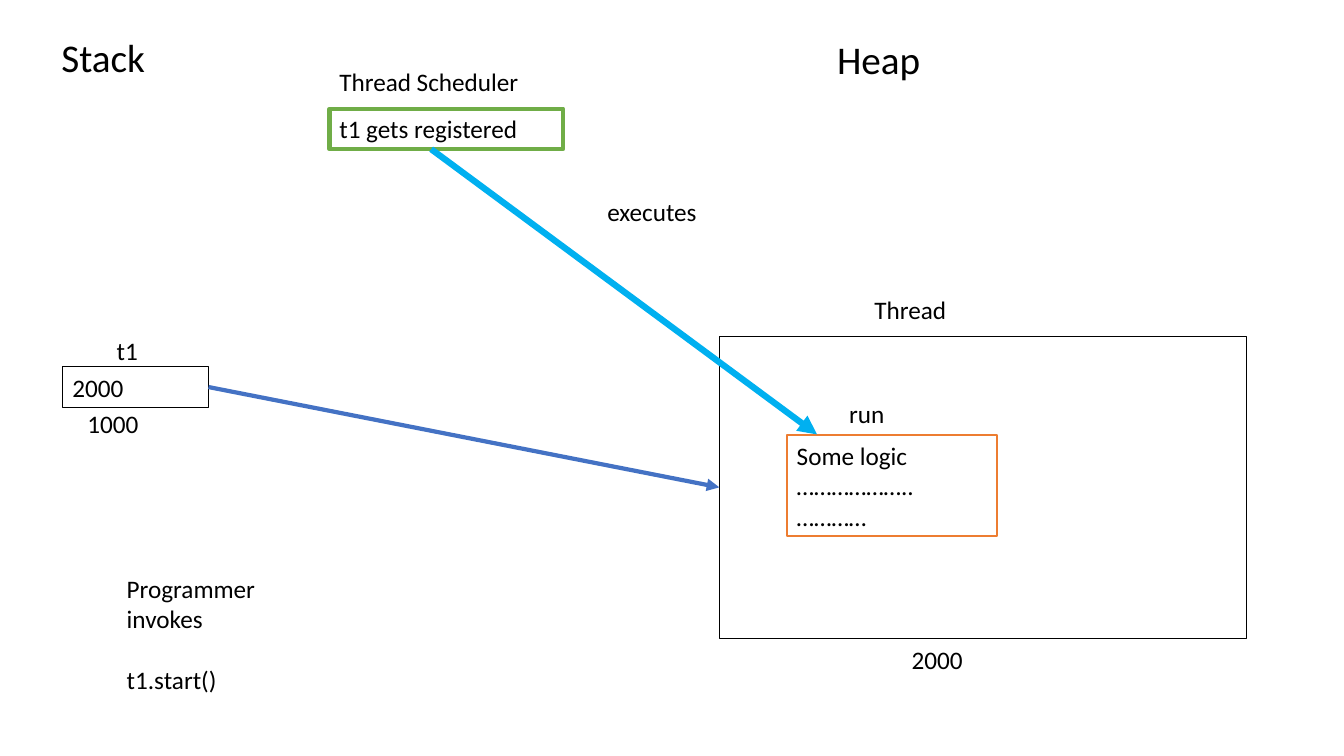
from pptx import Presentation
from pptx.dml.color import RGBColor
from pptx.enum.shapes import MSO_CONNECTOR as Connector, MSO_SHAPE as Shape
from pptx.enum.text import MSO_ANCHOR as Anchor, PP_ALIGN as Align
from pptx.oxml.ns import qn
from pptx.util import Pt
from lxml.etree import SubElement

PX = 9144
ROW = 40
COLORS = {
    "ink": "000000",
    "reference": "4472C4",
    "execution": "00B0F0",
    "scheduler": "70AD47",
    "method": "ED7D31",
}


def px(*lengths):
    return [length * PX for length in lengths]


def color(name):
    return RGBColor.from_string(COLORS[name])


def write(box, text, size=18, gap=0):
    frame = box.text_frame
    frame.word_wrap = True
    frame.vertical_anchor = Anchor.TOP
    for index, line in enumerate(text.split("\n")):
        para = frame.paragraphs[0] if index == 0 else frame.add_paragraph()
        para.alignment = Align.LEFT
        if index:
            para.space_before = Pt(gap)
        span = para.add_run()
        span.text = line
        span.font.name = "Calibri"
        span.font.size = Pt(size)
        span.font.color.rgb = color("ink")


def label(page, text, left, top, width, height=ROW, **style):
    box = page.shapes.add_textbox(*px(left, top, width, height))
    write(box, text, **style)


def outline(page, left, top, width, height=ROW, text="", line="ink", weight=0.75):
    box = page.shapes.add_shape(Shape.RECTANGLE, *px(left, top, width, height))
    box.shadow.inherit = False
    box.fill.background()
    box.line.color.rgb = color(line)
    box.line.width = Pt(weight)
    if text:
        write(box, text)
    return box


def arrow(page, start, end, line, weight):
    link = page.shapes.add_connector(Connector.STRAIGHT, *px(*start, *end))
    link.line.color.rgb = color(line)
    link.line.width = Pt(weight)
    SubElement(link.line._get_or_add_ln(), qn("a:tailEnd"), type="triangle")
    SubElement(link._element.spPr, qn("a:effectLst"))
    return link


def heap_region(page, left, top):
    label(page, "Heap", left + 107, top, 133, 57, size=28)
    thread = outline(page, left, top + 304, 523, 299)
    label(page, "Thread", left + 144, top + 257, 185)
    label(page, "2000", left + 181, top + 604, 160)
    outline(page, left + 67, top + 402, 209, 100,
            text="Some logic\n………………..\n…………", line="method", weight=1.5)
    label(page, "run", left + 119, top + 360, 104)
    return thread


def stack_region(page, left, top):
    label(page, "Stack", left, top, 112, 57, size=28)
    variable = outline(page, left + 11, top + 336, 145, text="2000")
    label(page, "t1", left + 55, top + 300, 89)
    label(page, "1000", left + 26, top + 372, 86)
    label(page, "Programmer invokes\nt1.start()", left + 65, top + 536, 170, 130, gap=22)
    return variable


def scheduler_region(page, left, top):
    outline(page, left, top + 47, 232, text="t1 gets registered",
            line="scheduler", weight=3)
    label(page, "Thread Scheduler", left, top, 210)
    arrow(page, (left + 101, top + 87), (left + 484, top + 370), "execution", 4.5)
    label(page, "executes", left + 266, top + 129, 120)


def main():
    deck = Presentation()
    deck.slide_width, deck.slide_height = px(1334, 750)
    page = deck.slides.add_slide(deck.slide_layouts[6])
    thread = heap_region(page, 714, 30)
    variable = stack_region(page, 51, 28)
    reference = arrow(page, (207, 384), (714, 493), "reference", 3)
    reference.begin_connect(variable, 3)
    reference.end_connect(thread, 1)
    scheduler_region(page, 327, 61)
    deck.save("out.pptx")


if __name__ == "__main__":
    main()
